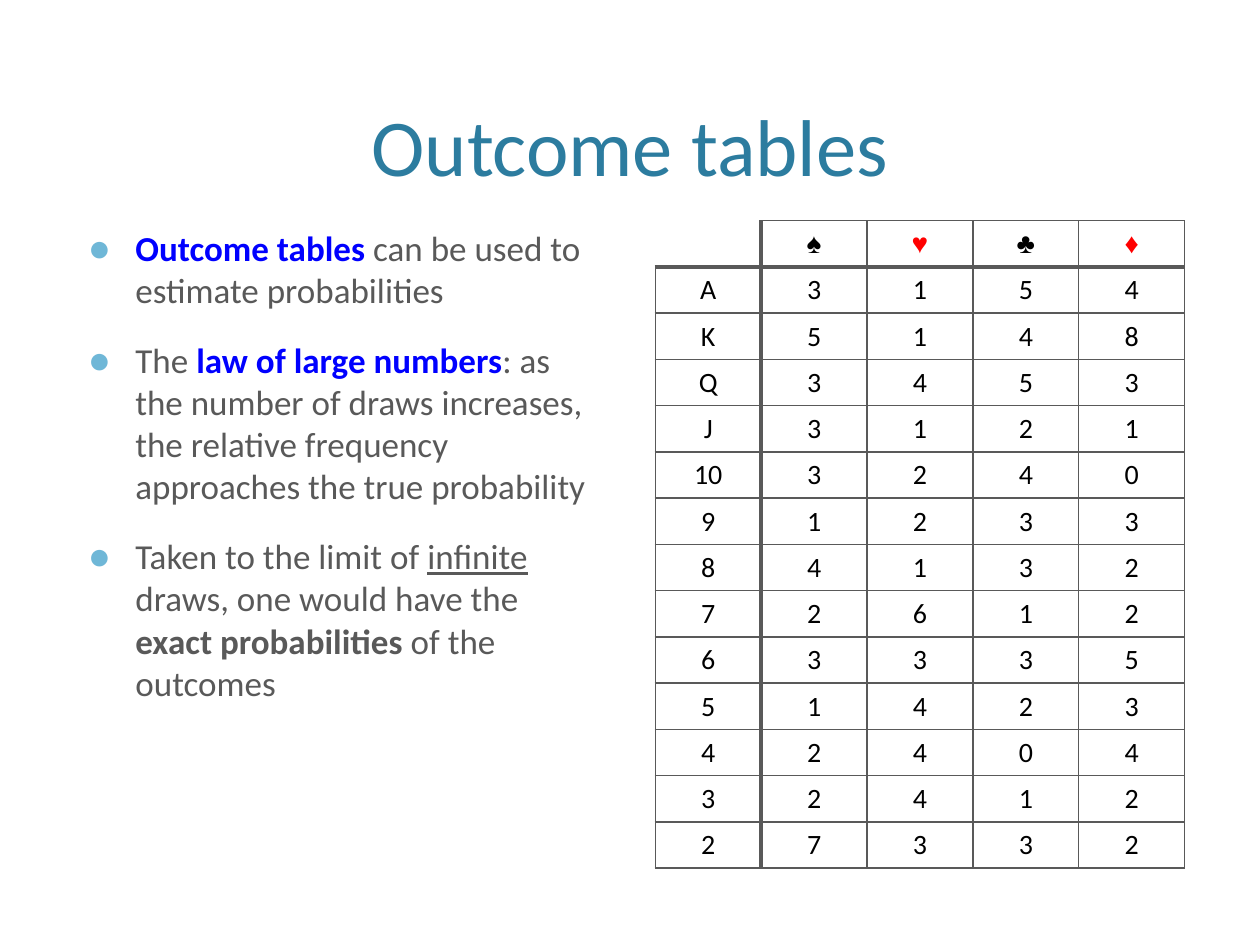
from dataclasses import dataclass
from typing import NamedTuple

from lxml import etree
from pptx import Presentation
from pptx.dml.color import RGBColor
from pptx.enum.text import MSO_ANCHOR, MSO_AUTO_SIZE, PP_ALIGN
from pptx.oxml.ns import qn
from pptx.util import Cm, Pt

CENTER = PP_ALIGN.CENTER
LEFT = PP_ALIGN.LEFT
BOTTOM = MSO_ANCHOR.BOTTOM
MIDDLE = MSO_ANCHOR.MIDDLE
TOP = MSO_ANCHOR.TOP
NO_AUTOFIT = MSO_AUTO_SIZE.NONE
TITLE_ONLY = 5


@dataclass(frozen=True)
class Theme:
    font: str = "Calibri"
    symbol_font: str = "Arial"
    title: str = "2C7C9F"
    body: str = "595959"
    key: str = "0000FF"
    bullet: str = "6FB7D7"
    black: str = "000000"
    red: str = "FF0000"
    paper: str = "FFFFFF"
    title_size: int = 46
    body_size: int = 20
    table_size: int = 16
    thin: float = 1
    thick: float = 2.25


THEME = Theme()


class Box(NamedTuple):
    left: float
    top: float
    width: float
    height: float


class Span(NamedTuple):
    text: str
    color: str = THEME.body
    bold: bool = False
    underline: bool = False


class Suit(NamedTuple):
    symbol: str
    color: str
    bold: bool


TITLE_BOX = Box(1.52, 0.3, 22.35, 3.71)
BODY_BOX = Box(1.52, 4.45, 10.67, 12.07)
TABLE_BOX = Box(13.21, 4.45, 10.67, 13.03)
BULLET_INDENT = 0.96

POINTS = [
    [Span("Outcome tables ", THEME.key, True),
     Span("can be used to estimate probabilities")],
    [Span("The "),
     Span("law of large numbers", THEME.key, True),
     Span(": as the number of draws increases, the relative frequency "
          "approaches the true probability")],
    [Span("Taken to the limit of "),
     Span("infinite", underline=True),
     Span(" draws, one would have the "),
     Span("exact probabilities", bold=True),
     Span(" of the outcomes")],
]

SUITS = [
    Suit("♠", THEME.black, True),
    Suit("♥", THEME.red, True),
    Suit("♣", THEME.black, True),
    Suit("♦", THEME.red, False),
]

OUTCOMES = {
    "A": (3, 1, 5, 4),
    "K": (5, 1, 4, 8),
    "Q": (3, 4, 5, 3),
    "J": (3, 1, 2, 1),
    "10": (3, 2, 4, 0),
    "9": (1, 2, 3, 3),
    "8": (4, 1, 3, 2),
    "7": (2, 6, 1, 2),
    "6": (3, 3, 3, 5),
    "5": (1, 4, 2, 3),
    "4": (2, 4, 0, 4),
    "3": (2, 4, 1, 2),
    "2": (7, 3, 3, 2),
}


def in_cm(box: Box) -> list:
    return [Cm(length) for length in box]


def format_run(run, font: str, size: float, color: str, bold: bool = False) -> None:
    run.font.name = font
    run.font.size = Pt(size)
    run.font.bold = bold
    run.font.color.rgb = RGBColor.from_string(color)


def add_title(page, text: str) -> None:
    title = page.shapes.title
    title.left, title.top, title.width, title.height = in_cm(TITLE_BOX)
    frame = title.text_frame
    frame.text = text
    frame.auto_size = NO_AUTOFIT
    frame.vertical_anchor = BOTTOM
    para = frame.paragraphs[0]
    para.alignment = CENTER
    format_run(para.runs[0], THEME.font, THEME.title_size, THEME.title)


def add_bullet(para) -> None:
    properties = para._p.get_or_add_pPr()
    properties.set("marL", str(Cm(BULLET_INDENT)))
    properties.set("indent", str(-Cm(BULLET_INDENT)))
    color = etree.SubElement(properties, qn("a:buClr"))
    etree.SubElement(color, qn("a:srgbClr"), val=THEME.bullet)
    etree.SubElement(properties, qn("a:buSzPct"), val="110000")
    etree.SubElement(properties, qn("a:buFont"), typeface=THEME.symbol_font)
    etree.SubElement(properties, qn("a:buChar"), char="●")


def add_points(page, points: list[list[Span]]) -> None:
    frame = page.shapes.add_textbox(*in_cm(BODY_BOX)).text_frame
    frame.word_wrap = True
    frame.vertical_anchor = TOP
    for index, spans in enumerate(points):
        para = frame.add_paragraph() if index else frame.paragraphs[0]
        para.alignment = LEFT
        para.space_before = Pt(16)
        add_bullet(para)
        for span in spans:
            run = para.add_run()
            run.text = span.text
            format_run(run, THEME.font, THEME.body_size, span.color, span.bold)
            run.font.underline = span.underline


def set_borders(cell, row: int, column: int) -> None:
    corner = row == 0 and column == 0
    outer = 0 if corner else THEME.thin
    widths = {
        "a:lnL": THEME.thick if column == 1 else outer,
        "a:lnR": THEME.thick if column == 0 else THEME.thin,
        "a:lnT": THEME.thick if row == 1 else outer,
        "a:lnB": THEME.thick if row == 0 else THEME.thin,
    }
    properties = cell._tc.get_or_add_tcPr()
    for position, (tag, width) in enumerate(widths.items()):
        line = etree.Element(qn(tag), w=str(Pt(width)))
        if width:
            fill = etree.SubElement(line, qn("a:solidFill"))
            etree.SubElement(fill, qn("a:srgbClr"), val=THEME.body)
        else:
            etree.SubElement(line, qn("a:noFill"))
        properties.insert(position, line)


def fill_cell(cell, text: str, font: str, color: str, bold: bool) -> None:
    cell.fill.solid()
    cell.fill.fore_color.rgb = RGBColor.from_string(THEME.paper)
    cell.vertical_anchor = MIDDLE
    para = cell.text_frame.paragraphs[0]
    para.alignment = CENTER
    if text:
        para.text = text
        format_run(para.runs[0], font, THEME.table_size, color, bold)
    else:
        etree.SubElement(para._p, qn("a:endParaRPr"), sz=str(THEME.table_size * 100))


def add_outcome_table(page) -> None:
    rows = [["", *(suit.symbol for suit in SUITS)]]
    rows += [[rank, *map(str, counts)] for rank, counts in OUTCOMES.items()]
    table = page.shapes.add_table(len(rows), len(rows[0]), *in_cm(TABLE_BOX)).table
    table.first_row = False
    table.horz_banding = False
    for row, texts in enumerate(rows):
        for column, text in enumerate(texts):
            cell = table.cell(row, column)
            if row == 0 and column:
                suit = SUITS[column - 1]
                fill_cell(cell, text, THEME.symbol_font, suit.color, suit.bold)
            else:
                fill_cell(cell, text, THEME.font, THEME.black, False)
            set_borders(cell, row, column)


def main() -> None:
    deck = Presentation()
    deck.slide_width, deck.slide_height = Cm(25.4), Cm(19.05)
    page = deck.slides.add_slide(deck.slide_layouts[TITLE_ONLY])
    add_title(page, "Outcome tables")
    add_points(page, POINTS)
    add_outcome_table(page)
    deck.save("out.pptx")


if __name__ == "__main__":
    main()
